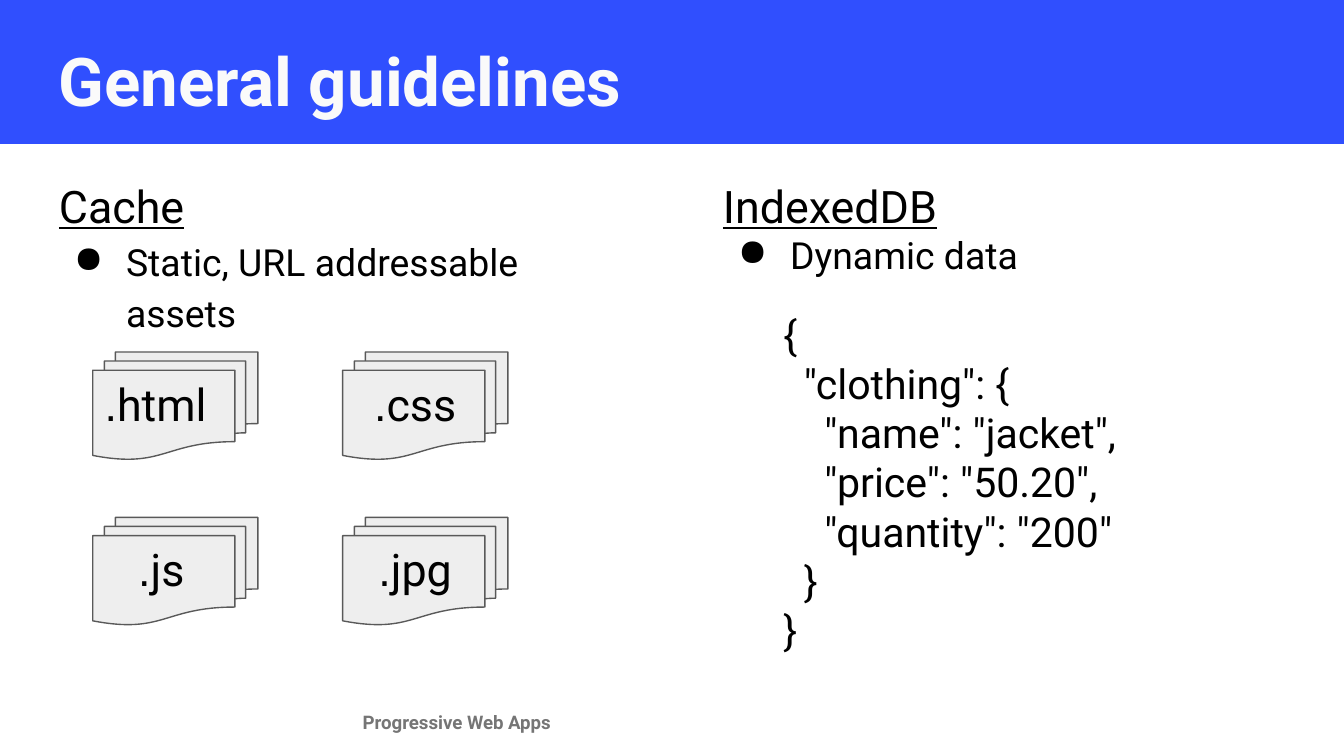
from dataclasses import dataclass

from lxml.etree import SubElement
from pptx import Presentation
from pptx.dml.color import RGBColor
from pptx.enum.shapes import MSO_SHAPE as Preset
from pptx.enum.text import PP_ALIGN as Align
from pptx.oxml.ns import qn
from pptx.util import Pt


@dataclass(frozen=True)
class Theme:
    """Colours, fonts and type sizes of the slide."""
    font: str = "Roboto"
    dot_font: str = "Arial"
    band: str = "304FFE"
    title: str = "FAFAFA"
    ink: str = "000000"
    footer: str = "757575"
    paper: str = "EEEEEE"
    outline: str = "595959"
    title_size: float = 36
    heading_size: float = 24
    code_size: float = 22
    bullet_size: float = 20
    footer_size: float = 10


THEME = Theme()
COLUMN_TOP, COLUMN_WIDTH, COLUMN_HEIGHT = 88.5, 314.6, 269.3
FILES_LEFT, FILES_TOP = 49.7, 188.6
FILE_WIDTH, FILE_HEIGHT = 88.5, 57.6
FILE_STEP_X, FILE_STEP_Y = 133.9, 88.6
CODE_INDENT = 11
FILES = [
    ("html", 0, 0, -0.7, 74.9, Align.LEFT),
    ("css", 1, 0, 8.6, 60.5, Align.CENTER),
    ("js", 0, 1, 6.5, 60.5, Align.CENTER),
    ("jpg", 1, 1, 8.6, 60.5, Align.CENTER),
]
CODE = [
    (0, "{"),
    (1, '"clothing": {'),
    (2, '"name": "jacket",'),
    (2, '"price": "50.20",'),
    (2, '"quantity": "200"'),
    (1, "}"),
    (0, "}"),
]


def add_text_frame(slide, left, top, width, height):
    """Add a wrapping text box with even insets and return its frame."""
    frame = slide.shapes.add_textbox(Pt(left), Pt(top), Pt(width), Pt(height)).text_frame
    frame.word_wrap = True
    frame.margin_left = frame.margin_right = Pt(7.2)
    frame.margin_top = frame.margin_bottom = Pt(7.2)
    return frame


def style(paragraph, size, color=THEME.ink, bold=False, underline=False):
    """Set the font of a paragraph."""
    font = paragraph.font
    font.name, font.size = THEME.font, Pt(size)
    font.bold, font.underline = bold, underline
    font.color.rgb = RGBColor.from_string(color)


def add_line(slide, box, text, size, color):
    """Add a text box with one bold line."""
    paragraph = add_text_frame(slide, *box).paragraphs[0]
    paragraph.text = text
    style(paragraph, size, color, bold=True)


def add_shape(slide, preset, box, fill, outline=None):
    """Add a flat preset shape, outlined on request."""
    shape = slide.shapes.add_shape(preset, *map(Pt, box))
    shape.shadow.inherit = False
    shape.fill.solid()
    shape.fill.fore_color.rgb = RGBColor.from_string(fill)
    if outline:
        shape.line.color.rgb = RGBColor.from_string(outline)
        shape.line.width = Pt(0.75)
    else:
        shape.line.fill.background()


def set_indent(paragraph, left, first=0):
    """Set the left margin and first-line indent of a paragraph."""
    properties = paragraph._p.get_or_add_pPr()
    properties.set("marL", str(Pt(left)))
    properties.set("indent", str(Pt(first)))
    return properties


def add_column(slide, left, heading, bullet, spacing):
    """Add an underlined heading with one bullet below."""
    frame = add_text_frame(slide, left, COLUMN_TOP, COLUMN_WIDTH, COLUMN_HEIGHT)
    title = frame.paragraphs[0]
    title.text = heading
    style(title, THEME.heading_size, underline=True)
    item = frame.add_paragraph()
    item.text = bullet
    item.line_spacing = spacing
    style(item, THEME.bullet_size)
    properties = set_indent(item, 36, -28)
    mark = SubElement(properties, qn("a:buChar"), char="●")
    properties.insert_element_before(mark, "a:tabLst", "a:defRPr", "a:extLst")


def add_file(slide, name, column, row, offset, width, alignment):
    """Add a stack of documents labelled with a file extension."""
    left = FILES_LEFT + column * FILE_STEP_X
    top = FILES_TOP + row * FILE_STEP_Y
    add_shape(slide, Preset.FLOWCHART_MULTIDOCUMENT,
              (left, top, FILE_WIDTH, FILE_HEIGHT), THEME.paper, THEME.outline)
    label = add_text_frame(slide, left + offset, top + 6, width, 45.4).paragraphs[0]
    label.alignment = alignment
    style(label, THEME.heading_size)
    for text, font in ((".", THEME.dot_font), (name, THEME.font)):
        run = label.add_run()
        run.text, run.font.name = text, font


def add_code(slide, box, lines):
    """Add code lines, indented by level."""
    frame = add_text_frame(slide, *box)
    for index, (level, text) in enumerate(lines):
        paragraph = frame.add_paragraph() if index else frame.paragraphs[0]
        paragraph.text = text
        style(paragraph, THEME.code_size)
        set_indent(paragraph, level * CODE_INDENT)


def main():
    """Build and save the slide."""
    presentation = Presentation()
    presentation.slide_width, presentation.slide_height = Pt(720), Pt(405)
    slide = presentation.slides.add_slide(presentation.slide_layouts[6])
    add_line(slide, (187.2, 375, 416.9, 18), "Progressive Web Apps",
             THEME.footer_size, THEME.footer)
    add_shape(slide, Preset.RECTANGLE, (-0.7, -2.9, 720.7, 80), THEME.band)
    add_line(slide, (24.5, 13.7, 671, 45.4), "General guidelines",
             THEME.title_size, THEME.title)
    add_column(slide, 24.5, "Cache", "Static, URL addressable assets", 1.15)
    add_column(slide, 380.2, "IndexedDB", "Dynamic data", 1.0)
    for file in FILES:
        add_file(slide, *file)
    add_code(slide, (412.6, 158.4, 250.6, 186.5), CODE)
    presentation.save("out.pptx")


main()
